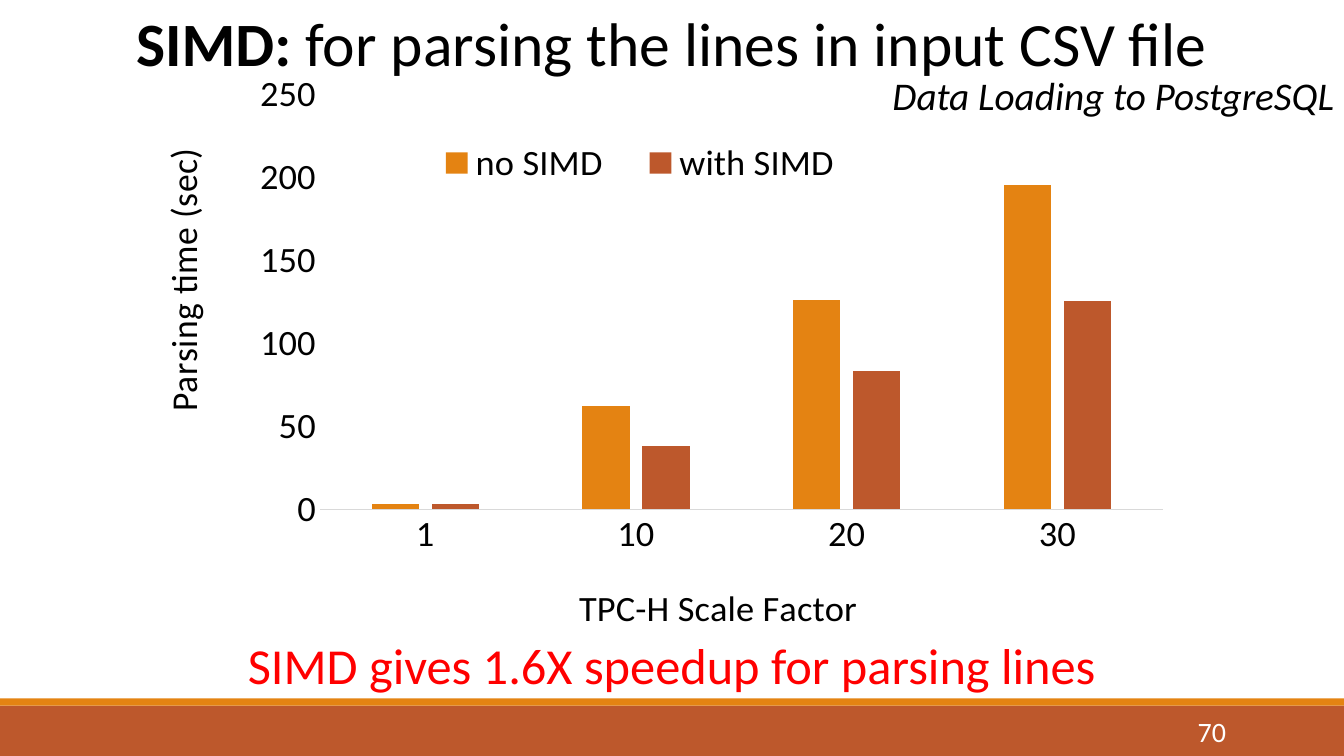
from dataclasses import dataclass

from lxml.etree import SubElement
from pptx import Presentation
from pptx.chart.data import CategoryChartData
from pptx.dml.color import RGBColor
from pptx.enum.chart import XL_CHART_TYPE, XL_LEGEND_POSITION, XL_TICK_MARK
from pptx.enum.shapes import MSO_SHAPE
from pptx.enum.text import MSO_ANCHOR, MSO_AUTO_SIZE, PP_ALIGN
from pptx.oxml.ns import qn
from pptx.util import Inches, Pt


@dataclass(frozen=True)
class Theme:
    font: str = "Calibri"
    orange: str = "E48312"
    rust: str = "BD582C"
    black: str = "000000"
    white: str = "FFFFFF"
    red: str = "FF0000"
    axis_gray: str = "D9D9D9"
    title_size: int = 44
    takeaway_size: int = 36
    subtitle_size: int = 28
    chart_size: int = 26
    number_size: int = 20


THEME = Theme()
PAGE_WIDTH = 13.33


@dataclass(frozen=True)
class Area:
    left: float
    top: float
    width: float
    height: float

    def lengths(self):
        return [Inches(value) for value in (self.left, self.top, self.width, self.height)]


@dataclass(frozen=True)
class Span:
    text: str
    bold: bool = False
    italic: bool = False


@dataclass(frozen=True)
class Label:
    area: Area
    spans: tuple[Span, ...]
    size: int
    color: str
    align: PP_ALIGN
    anchor: MSO_ANCHOR = MSO_ANCHOR.TOP
    fit: MSO_AUTO_SIZE = MSO_AUTO_SIZE.SHAPE_TO_FIT_TEXT


@dataclass(frozen=True)
class Band:
    area: Area
    color: str


@dataclass(frozen=True)
class Series:
    name: str
    seconds: tuple[int, ...]
    color: str


BANDS = (
    Band(Area(0, 7, PAGE_WIDTH, 0.5), THEME.rust),
    Band(Area(0, 6.93, PAGE_WIDTH, 0.07), THEME.orange),
)
TITLE = Label(
    Area(0, 0, PAGE_WIDTH, 0.84),
    (Span("SIMD: ", bold=True), Span("for parsing the lines in input CSV file")),
    THEME.title_size, THEME.black, PP_ALIGN.CENTER,
)
LABELS = (
    Label(Area(0, 6.24, PAGE_WIDTH, 0.71), (Span("SIMD gives 1.6X speedup for parsing lines"),),
          THEME.takeaway_size, THEME.red, PP_ALIGN.CENTER),
    Label(Area(0, 0.66, PAGE_WIDTH, 0.57), (Span("Data Loading to PostgreSQL", italic=True),),
          THEME.subtitle_size, THEME.black, PP_ALIGN.RIGHT),
    Label(Area(10.83, 7.06, 1.43, 0.4), (Span("70"),),
          THEME.number_size, THEME.white, PP_ALIGN.RIGHT, MSO_ANCHOR.MIDDLE, MSO_AUTO_SIZE.NONE),
)
SCALE_FACTORS = ("1", "10", "20", "30")
SERIES = (
    Series("no SIMD", (3, 62, 126, 195), THEME.orange),
    Series("with SIMD", (3, 38, 83, 125), THEME.rust),
)


def style_font(font, size: int, color: str) -> None:
    font.name = THEME.font
    font.size = Pt(size)
    font.color.rgb = RGBColor.from_string(color)


def fill_label(box, label: Label) -> None:
    box.left, box.top, box.width, box.height = label.area.lengths()
    frame = box.text_frame
    frame.word_wrap = True
    frame.auto_size = label.fit
    frame.vertical_anchor = label.anchor
    para = frame.paragraphs[0]
    para.alignment = label.align
    for span in label.spans:
        run = para.add_run()
        run.text = span.text
        style_font(run.font, label.size, label.color)
        run.font.bold = span.bold
        run.font.italic = span.italic


def add_band(page, band: Band) -> None:
    shape = page.shapes.add_shape(MSO_SHAPE.RECTANGLE, *band.area.lengths())
    shape.shadow.inherit = False
    shape.fill.solid()
    shape.fill.fore_color.rgb = RGBColor.from_string(band.color)
    shape.line.fill.background()


def place(element, index: int, **settings) -> None:
    for previous in element.findall(qn("c:layout")):
        element.remove(previous)
    layout = element.makeelement(qn("c:layout"))
    element.insert(index, layout)
    manual = SubElement(layout, qn("c:manualLayout"))
    for name, value in settings.items():
        SubElement(manual, qn(f"c:{name}")).set("val", str(value))


def style_axis(axis, title: str) -> None:
    axis.has_major_gridlines = False
    axis.major_tick_mark = XL_TICK_MARK.NONE
    axis.minor_tick_mark = XL_TICK_MARK.NONE
    style_font(axis.tick_labels.font, THEME.chart_size, THEME.black)
    run = axis.axis_title.text_frame.paragraphs[0].add_run()
    run.text = title
    style_font(run.font, THEME.chart_size, THEME.black)
    run.font.bold = False


def add_parsing_chart(page) -> None:
    data = CategoryChartData()
    data.categories = SCALE_FACTORS
    for series in SERIES:
        data.add_series(series.name, series.seconds)
    area = Area(1.4, 0.64, 10.31, 5.72)
    chart = page.shapes.add_chart(XL_CHART_TYPE.COLUMN_CLUSTERED, *area.lengths(), data).chart
    chart.has_title = False
    style_font(chart.font, THEME.chart_size, THEME.black)

    plot = chart.plots[0]
    plot.gap_width = 219
    plot.overlap = -27
    plot.vary_by_categories = False
    for bars, series in zip(plot.series, SERIES):
        bars.format.fill.solid()
        bars.format.fill.fore_color.rgb = RGBColor.from_string(series.color)

    style_axis(chart.category_axis, "TPC-H Scale Factor")
    style_axis(chart.value_axis, "Parsing time (sec)")
    chart.category_axis.format.line.color.rgb = RGBColor.from_string(THEME.axis_gray)
    chart.category_axis.format.line.width = Pt(0.75)
    chart.value_axis.format.line.fill.background()
    chart.value_axis.minimum_scale = 0
    chart.value_axis.maximum_scale = 250
    chart.value_axis.major_unit = 50

    chart.has_legend = True
    chart.legend.position = XL_LEGEND_POSITION.BOTTOM
    chart.legend.include_in_layout = False
    style_font(chart.legend.font, THEME.chart_size, THEME.black)

    root = chart.element
    edges = {"xMode": "edge", "yMode": "edge"}
    place(root.xpath(".//c:plotArea")[0], 0, layoutTarget="inner", **edges,
          x=0.172, y=0.052, w=0.811, h=0.738)
    place(root.xpath(".//c:catAx/c:title")[0], 1, **edges, x=0.415, y=0.91)
    place(root.xpath(".//c:valAx/c:title")[0], 1, **edges, x=0.01, y=0.148)
    place(root.xpath(".//c:legend")[0], 1, **edges, x=0.26, y=0.135, w=0.44, h=0.08)
    turned = root.xpath(".//c:valAx/c:title//a:bodyPr")[0]
    turned.set("rot", "-5400000")
    turned.set("vert", "horz")


def main() -> None:
    deck = Presentation()
    deck.slide_width = Inches(PAGE_WIDTH)
    deck.slide_height = Inches(7.5)
    page = deck.slides.add_slide(deck.slide_layouts[5])
    for band in BANDS:
        add_band(page, band)
    add_parsing_chart(page)
    fill_label(page.shapes.title, TITLE)
    for label in LABELS:
        fill_label(page.shapes.add_textbox(*label.area.lengths()), label)
    deck.save("out.pptx")


if __name__ == "__main__":
    main()
